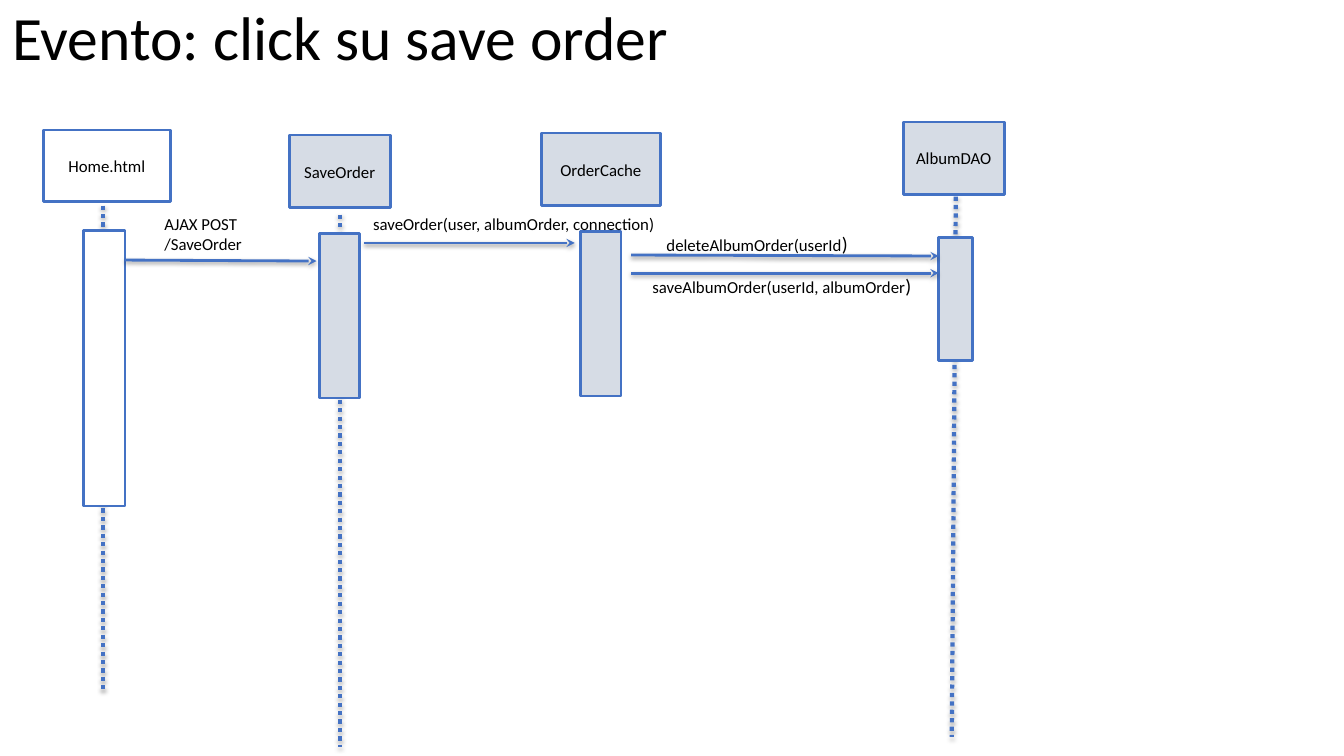
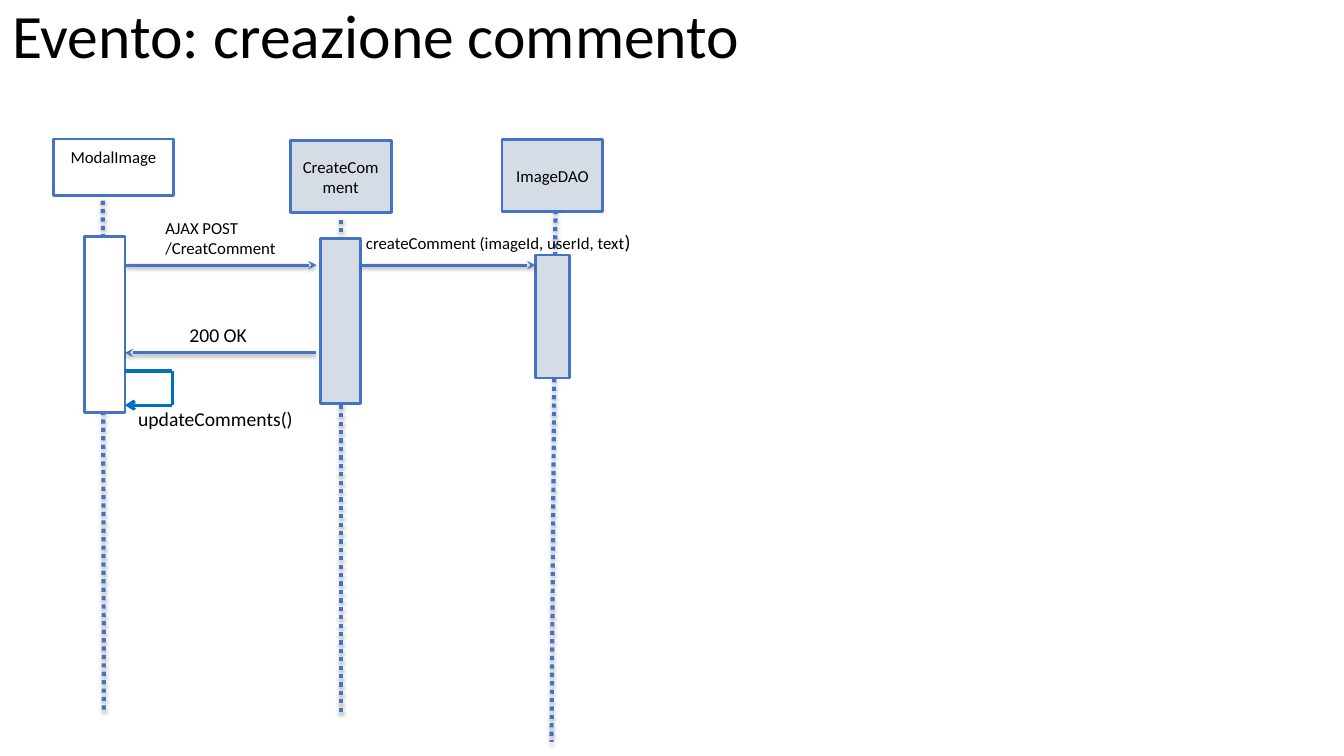
"""Build two sequence diagram slides: saving an order and creating a comment."""
from lxml import etree
from pptx import Presentation
from pptx.dml.color import RGBColor
from pptx.enum.dml import MSO_LINE
from pptx.enum.shapes import MSO_CONNECTOR, MSO_SHAPE
from pptx.enum.text import MSO_ANCHOR, MSO_AUTO_SIZE, PP_ALIGN
from pptx.oxml.ns import qn
from pptx.util import Inches, Pt

RECT = MSO_SHAPE.RECTANGLE
LINE = MSO_CONNECTOR.STRAIGHT
DOT = MSO_LINE.ROUND_DOT
LEFT, CENTER = PP_ALIGN.LEFT, PP_ALIGN.CENTER
TOP, MIDDLE = MSO_ANCHOR.TOP, MSO_ANCHOR.MIDDLE
FIXED = MSO_AUTO_SIZE.NONE

BLUE, CYAN, BLACK, WHITE, GREY = "4472C4", "0070C0", "000000", "FFFFFF", "D6DCE5"
FONT = "Calibri"


def write(frame, text, size=12, align=LEFT, anchor=TOP, space=None, foot=0.06, end=""):
    frame.auto_size = FIXED
    frame.word_wrap = True
    frame.vertical_anchor = anchor
    frame.margin_left = frame.margin_right = Inches(0.12)
    frame.margin_top, frame.margin_bottom = Inches(0.06), Inches(foot)
    frame.text = text
    if end:
        frame.paragraphs[-1].add_run().text = end
    for para in frame.paragraphs:
        para.alignment = align
        para.line_spacing = space
        for run in para.runs:
            run.font.name = FONT
            run.font.size = Pt(14 if end and run.text == end else size)
            run.font.color.rgb = RGBColor.from_string(BLACK)


def draw(shapes, ends, color=BLUE, width=2, dash=None, head=None, shade=None):
    line = shapes.add_connector(LINE, *map(Inches, ends))
    line.line.color.rgb = RGBColor.from_string(color)
    line.line.width = Pt(width)
    if dash:
        line.line.dash_style = dash
    if head:
        etree.SubElement(line.line._get_or_add_ln(), qn("a:tailEnd"), type=head)
    effect = etree.SubElement(line._element.spPr, qn("a:effectLst"))
    if shade:
        alpha, dist = shade
        glow = etree.SubElement(effect, qn("a:outerShdw"), blurRad=str(Pt(3.1)),
                                dist=str(Pt(dist)), dir="5400000", rotWithShape="0")
        tone = etree.SubElement(glow, qn("a:srgbClr"), val=BLACK)
        etree.SubElement(tone, qn("a:alpha"), val=str(alpha * 1000))


PAGES = [
    {
        "title": "Evento: click su save order",
        "place": (0, 0, 7.16, 0.8),
        "actors": [
            ("Home.html", WHITE, (0.43, 1.29, 1.26, 0.71), (0.83, 2.29, 0.41, 2.73),
             (1.02, 2.04, 1.02, 6.88), {}),
            ("SaveOrder", GREY, (2.87, 1.34, 1, 0.72), (3.17, 2.32, 0.4, 1.63),
             (3.37, 2.13, 3.37, 7.41), {}),
            ("OrderCache", GREY, (5.37, 1.32, 1.18, 0.72), (5.76, 2.3, 0.4, 1.63), None, {}),
            ("AlbumDAO", GREY, (8.96, 1.21, 1, 0.72), (9.31, 2.36, 0.34, 1.22),
             (9.48, 1.95, 9.44, 7.31), {}),
        ],
        "calls": [(1.24, 2.58, 3.14, 2.59), (3.61, 2.41, 5.7, 2.41),
                  (6.26, 2.53, 9.31, 2.54), (6.26, 2.71, 9.31, 2.71)],
        "loop": [],
        "labels": [
            ("AJAX POST\n/SaveOrder", (1.51, 2.06, 1.41, 0.48), {}),
            ("saveOrder(user, albumOrder, connection)", (3.58, 2.06, 3.19, 0.32), {}),
            ("deleteAlbumOrder(userId", (6.49, 2.24, 2.92, 0.32), {"end": ")"}),
            ("saveAlbumOrder(userId, albumOrder", (6.35, 2.66, 2.92, 0.32), {"end": ")"}),
        ],
    },
    {
        "title": "Evento: creazione commento",
        "place": (0, 0.01, 7.67, 0.74),
        "actors": [
            ("ModalImage", WHITE, (0.53, 1.38, 1.19, 0.56), (0.84, 2.35, 0.4, 1.74),
             (1.02, 1.99, 1.03, 7.07), {"foot": 0.26}),
            ("CreateComment", GREY, (2.88, 1.39, 1, 0.72), (3.18, 2.37, 0.4, 1.63),
             (3.38, 2.18, 3.38, 7.07), {}),
            ("ImageDAO", GREY, (4.98, 1.38, 1, 0.72), (5.31, 2.53, 0.34, 1.22),
             (5.51, 2, 5.47, 7.36), {}),
        ],
        "calls": [(1.25, 2.63, 3.14, 2.63), (3.58, 2.63, 5.31, 2.63),
                  (3.13, 3.5, 1.24, 3.5)],
        "loop": [(1.24, 3.68), (1.71, 3.68), (1.71, 4.02), (1.24, 4.02)],
        "labels": [
            ("AJAX POST\n/CreatComment", (1.52, 2.1, 1.41, 0.48), {}),
            ("createComment (imageId, userId, text", (3.51, 2.22, 2.9, 0.32), {"end": ")"}),
            ("200 OK", (1.28, 3.14, 1.77, 0.34), {"size": 14, "align": CENTER}),
            ("updateComments()", (1.25, 3.98, 1.89, 0.45), {"size": 14}),
        ],
    },
]

deck = Presentation()
deck.slide_width, deck.slide_height = Inches(13.33), Inches(7.5)

for page in PAGES:
    slide = deck.slides.add_slide(deck.slide_layouts[5])
    shapes = slide.shapes
    title = shapes.title
    title.left, title.top, title.width, title.height = map(Inches, page["place"])
    write(title.text_frame, page["title"], size=44, anchor=MIDDLE, space=0.9)

    for name, fill, head, bar, life, form in page["actors"]:
        if life:
            draw(shapes, life, width=3, dash=DOT, shade=(35, 1.8))
        for box, text in ((head, name), (bar, "")):
            rect = shapes.add_shape(RECT, *map(Inches, box))
            rect.shadow.inherit = False
            rect.fill.solid()
            rect.fill.fore_color.rgb = RGBColor.from_string(fill)
            rect.line.color.rgb = RGBColor.from_string(BLUE)
            rect.line.width = Pt(2)
            if text:
                write(rect.text_frame, text, align=CENTER, anchor=MIDDLE, **form)

    for call in page["calls"]:
        draw(shapes, call, head="stealth", shade=(38, 1.6))

    if page["loop"]:
        group = shapes.add_group_shape()
        spots = page["loop"]
        for start, stop in zip(spots, spots[1:]):
            head = "arrow" if stop == spots[-1] else None
            draw(group.shapes, start + stop, color=CYAN, width=2.25, head=head)

    for text, box, form in page["labels"]:
        label = shapes.add_textbox(*map(Inches, box))
        write(label.text_frame, text, **form)

deck.save("out.pptx")
